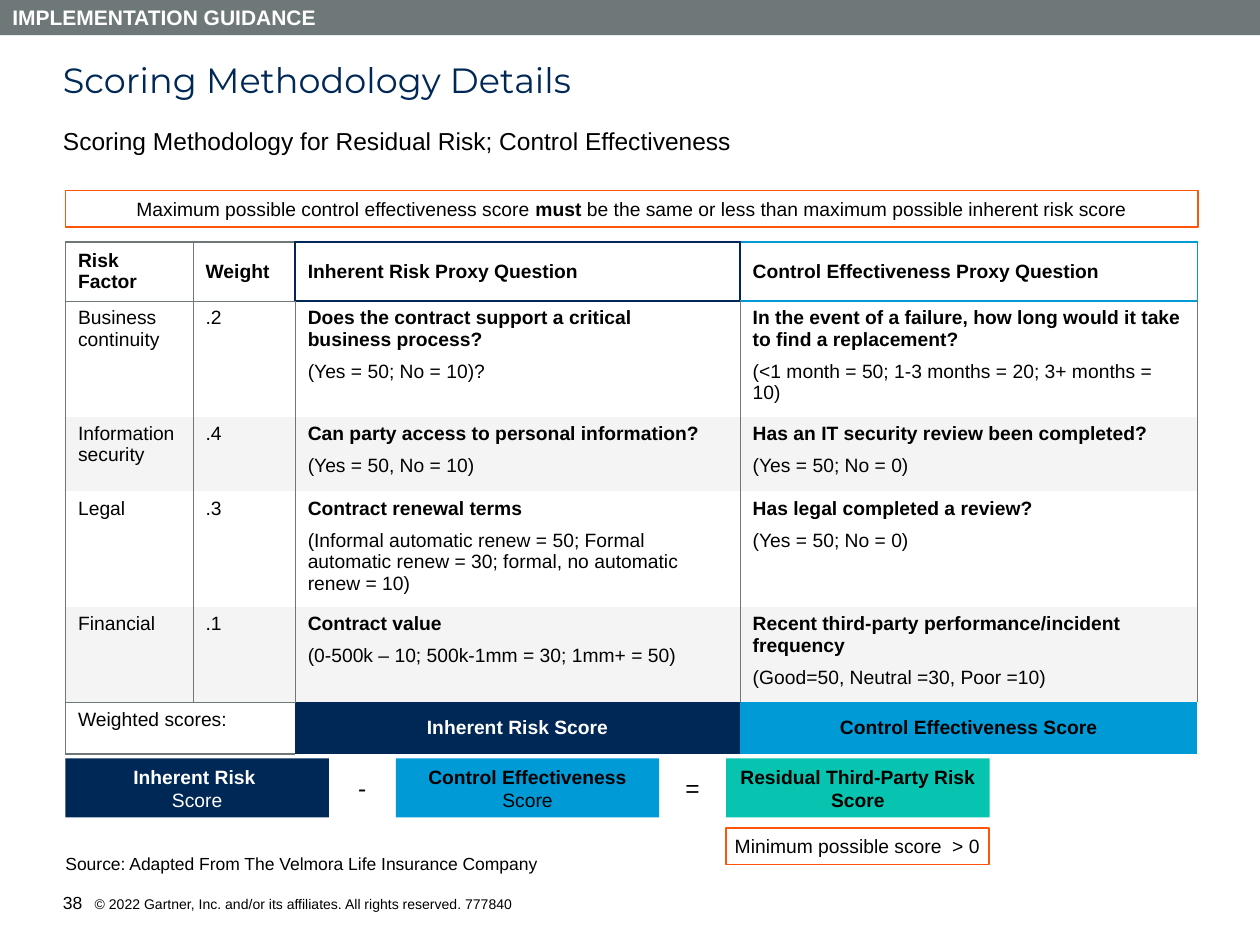
from dataclasses import dataclass

from lxml import etree
from pptx import Presentation
from pptx import util as u
from pptx.dml.color import RGBColor
from pptx.enum import shapes, text
from pptx.oxml.ns import qn


@dataclass(frozen=True)
class Theme:
    navy: str = "002856"
    blue: str = "009AD7"
    teal: str = "06C4B0"
    orange: str = "FF540A"
    grey: str = "6F7878"
    band: str = "F4F4F4"
    black: str = "000000"
    white: str = "FFFFFF"
    body_font: str = "Arial"
    title_font: str = "Montserrat"
    title: float = 20
    subtitle: float = 14
    bar: float = 12
    body: float = 11
    small: float = 10
    legal: float = 8


T = Theme()
CENTER = text.PP_ALIGN.CENTER
TOP, MIDDLE, BOTTOM = (text.MSO_ANCHOR.TOP, text.MSO_ANCHOR.MIDDLE,
                       text.MSO_ANCHOR.BOTTOM)
LEFT = 1.32

# Table content: ** marks bold, one list entry per paragraph
COLUMNS = [2.57, 2.06, 8.97, 9.22]
ROWS = [1.12, 2.19, 1.51, 2.19, 1.92, 1.04]
HEADER = ["Risk Factor", "Weight", "Inherent Risk Proxy Question",
          "Control Effectiveness Proxy Question"]
FACTORS = [
    ("Business continuity", ".2",
     ["**Does the contract support a critical \nbusiness process?**",
      "(Yes = 50; No = 10)?"],
     ["**In the event of a failure, how long would it take to find a replacement?**",
      "(<1 month = 50; 1-3 months = 20; 3+ months = 10)"]),
    ("Information security", ".4",
     ["**Can party access to personal information?**", "(Yes = 50, No = 10)"],
     ["**Has an IT security review been completed?**", "(Yes = 50; No = 0)"]),
    ("Legal", ".3",
     ["**Contract renewal terms**",
      "(Informal automatic renew = 50; Formal automatic renew = 30; "
      "formal, no automatic renew = 10)"],
     ["**Has legal completed a review?**", "(Yes = 50; No = 0)"]),
    ("Financial", ".1",
     ["**Contract value**", "(0-500k – 10; 500k-1mm = 30; 1mm+ = 50)"],
     ["**Recent third-party performance/incident frequency**",
      "(Good=50, Neutral =30, Poor =10)"]),
]

# Border styles: colour and width in points
OUTER, THIN = (T.grey, 1), (T.grey, 0.25)
NAVY, BLUE = (T.navy, 1), (T.blue, 1)
HEADER_EDGES = [
    {"L": OUTER, "T": OUTER, "R": THIN, "B": THIN},
    {"L": THIN, "T": OUTER, "R": NAVY, "B": THIN},
    {"L": NAVY, "T": NAVY, "R": NAVY, "B": NAVY},
    {"L": NAVY, "T": BLUE, "R": BLUE, "B": BLUE},
]


def rgb(colour):
    return RGBColor.from_string(colour)


def write(frame, paragraphs, size=T.body, font=T.body_font, color=T.black,
          align=None, anchor=TOP, insets=None, after=0, spacing=None):
    """Fill a text frame; ** toggles bold and a newline breaks the line."""
    frame.word_wrap = True
    frame.vertical_anchor = anchor
    if insets:
        (frame.margin_left, frame.margin_top,
         frame.margin_right, frame.margin_bottom) = map(u.Cm, insets)
    paragraphs = [paragraphs] if isinstance(paragraphs, str) else paragraphs
    for index, content in enumerate(paragraphs):
        para = frame.add_paragraph() if index else frame.paragraphs[0]
        para.alignment = align
        if spacing:
            para.line_spacing = spacing
        if index < len(paragraphs) - 1:
            para.space_after = u.Pt(after)
        for part, piece in enumerate(content.split("**")):
            for line, words in enumerate(piece.split("\n")):
                if line:
                    para.add_line_break()
                if not words:
                    continue
                run = para.add_run()
                run.text = words
                run.font.size = u.Pt(size)
                run.font.name = font
                run.font.bold = part % 2 == 1
                run.font.color.rgb = rgb(color)
        # The end mark counts towards row height
        end_mark = etree.SubElement(para._p, qn("a:endParaRPr"))
        end_mark.set("sz", str(size * 100))


def add_label(parent, box, content, **style):
    label = parent.add_textbox(*map(u.Cm, box))
    write(label.text_frame, content, **{"insets": (0, 0, 0, 0), **style})
    return label


def add_box(parent, box, content, fill=None, outline=None, **style):
    panel = parent.add_shape(shapes.MSO_SHAPE.RECTANGLE, *map(u.Cm, box))
    panel.shadow.inherit = False
    if fill:
        panel.fill.solid()
        panel.fill.fore_color.rgb = rgb(fill)
    else:
        panel.fill.background()
    if outline:
        panel.line.color.rgb = rgb(outline)
        panel.line.width = u.Pt(1)
    else:
        panel.line.fill.background()
    write(panel.text_frame, content, **style)


def cell_edges(row, col):
    last = len(ROWS) - 1
    if row == 0:
        return HEADER_EDGES[col]
    if row == last:
        return {"L": OUTER, "T": THIN, "B": OUTER} if col < 2 else {}
    edges = {"L": THIN if col else OUTER,
             "R": OUTER if col == len(COLUMNS) - 1 else THIN}
    if row == 1:
        edges["T"] = HEADER_EDGES[col]["B"]
    if row == last - 1 and col < 2:
        edges["B"] = THIN
    return edges


def format_cell(cell, edges, fill):
    props = cell._tc.get_or_add_tcPr()
    for side in "LRTB":
        line = etree.SubElement(props, qn(f"a:ln{side}"))
        if side in edges:
            colour, width = edges[side]
            line.set("w", str(u.Pt(width)))
            solid = etree.SubElement(line, qn("a:solidFill"))
            etree.SubElement(solid, qn("a:srgbClr")).set("val", colour)
        else:
            etree.SubElement(line, qn("a:noFill"))
    if fill:
        cell.fill.solid()
        cell.fill.fore_color.rgb = rgb(fill)
    else:
        cell.fill.background()


def add_scoring_table(parent):
    box = (LEFT, 4.88, sum(COLUMNS), sum(ROWS))
    table = parent.add_table(len(ROWS), len(COLUMNS), *map(u.Cm, box)).table
    table.first_row = table.horz_banding = False
    for column, width in zip(table.columns, COLUMNS):
        column.width = u.Cm(width)
    for row, height in zip(table.rows, ROWS):
        row.height = u.Cm(height)

    last = len(ROWS) - 1
    score_fills = [None, None, T.navy, T.blue]
    for row in range(len(ROWS)):
        for col in range(len(COLUMNS)):
            band = T.band if row and row % 2 == 0 else None
            fill = score_fills[col] if row == last else band
            format_cell(table.cell(row, col), cell_edges(row, col), fill)

    for col, heading in enumerate(HEADER):
        write(table.cell(0, col).text_frame, f"**{heading}**")
        table.cell(0, col).vertical_anchor = MIDDLE
    for row, factor in enumerate(FACTORS, 1):
        for col, content in enumerate(factor):
            write(table.cell(row, col).text_frame, content, after=6)

    # Weighted scores row
    table.cell(last, 0).merge(table.cell(last, 1))
    write(table.cell(last, 0).text_frame, "Weighted scores:")
    for col, score, color in ((2, "Inherent Risk Score", T.white),
                              (3, "Control Effectiveness Score", T.black)):
        write(table.cell(last, col).text_frame, f"**{score}**",
              color=color, align=CENTER)
        table.cell(last, col).vertical_anchor = MIDDLE


def add_equation(parent):
    group = parent.add_group_shape().shapes
    pitch = 6.66
    terms = [("**Inherent Risk **\nScore", T.navy, T.white),
             ("**Control Effectiveness **Score", T.blue, T.black),
             ("**Residual Third-Party Risk Score**", T.teal, T.black)]
    for index, (term, fill, color) in enumerate(terms):
        add_box(group, (LEFT + index * pitch, 15.29, 5.31, 1.19), term,
                fill=fill, color=color, align=CENTER, anchor=MIDDLE)
    for index, sign in enumerate("-="):
        add_label(group, (7.11 + index * pitch, 15.46, 0.38, 0.86), sign,
                  size=T.subtitle, align=CENTER, insets=(0, 0.13, 0, 0.13))


def add_footer(parent):
    # The empty bold part splits the page number into its own run
    footer = add_label(
        parent, (1.27, 17.98, 15.21, 0.43),
        "38****\t© 2022 Gartner, Inc. and/or its affiliates. "
        "All rights reserved. 777840", size=T.legal, anchor=BOTTOM)
    line = footer.text_frame.paragraphs[0]
    line.runs[0].font.size = u.Pt(T.small)
    indent = u.Cm(0.64)
    props = line._p.get_or_add_pPr()
    props.set("marL", str(indent))
    props.set("indent", str(-indent))


def main():
    deck = Presentation()
    deck.slide_width, deck.slide_height = u.Cm(25.4), u.Cm(19.05)
    parts = deck.slides.add_slide(deck.slide_layouts[6]).shapes

    # Headings
    add_box(parts, (0, 0, 25.4, 0.71), "**IMPLEMENTATION GUIDANCE**",
            fill=T.grey, size=T.bar, color=T.white, anchor=MIDDLE,
            align=text.PP_ALIGN.LEFT, insets=(0.25,) * 4)
    add_label(parts, (1.27, 1.27, 22.86, 0.64), "Scoring Methodology Details",
              size=T.title, font=T.title_font, color=T.navy, spacing=0.9)
    add_label(parts, (1.27, 2.54, 22.86, 0.51),
              "Scoring Methodology for Residual Risk; Control Effectiveness",
              size=T.subtitle)

    # Scoring rules and table
    add_box(parts, (LEFT, 3.84, 22.83, 0.74),
            "Maximum possible control effectiveness score **must** be the same "
            "or less than maximum possible inherent risk score",
            outline=T.orange, align=CENTER, insets=(0.13,) * 4)
    add_scoring_table(parts)

    # Residual risk equation
    add_equation(parts)
    add_box(parts, (14.63, 16.69, 5.31, 0.74), "Minimum possible score  > 0",
            outline=T.orange, align=CENTER, insets=(0, 0.13, 0, 0.13))

    # Source and footer
    add_label(parts, (LEFT, 16.84, 10.29, 0.79),
              "Source: Adapted From The Velmora Life Insurance Company",
              size=T.small, anchor=BOTTOM, insets=(0, 0.25, 0, 0))
    add_footer(parts)
    deck.save("out.pptx")


if __name__ == "__main__":
    main()
